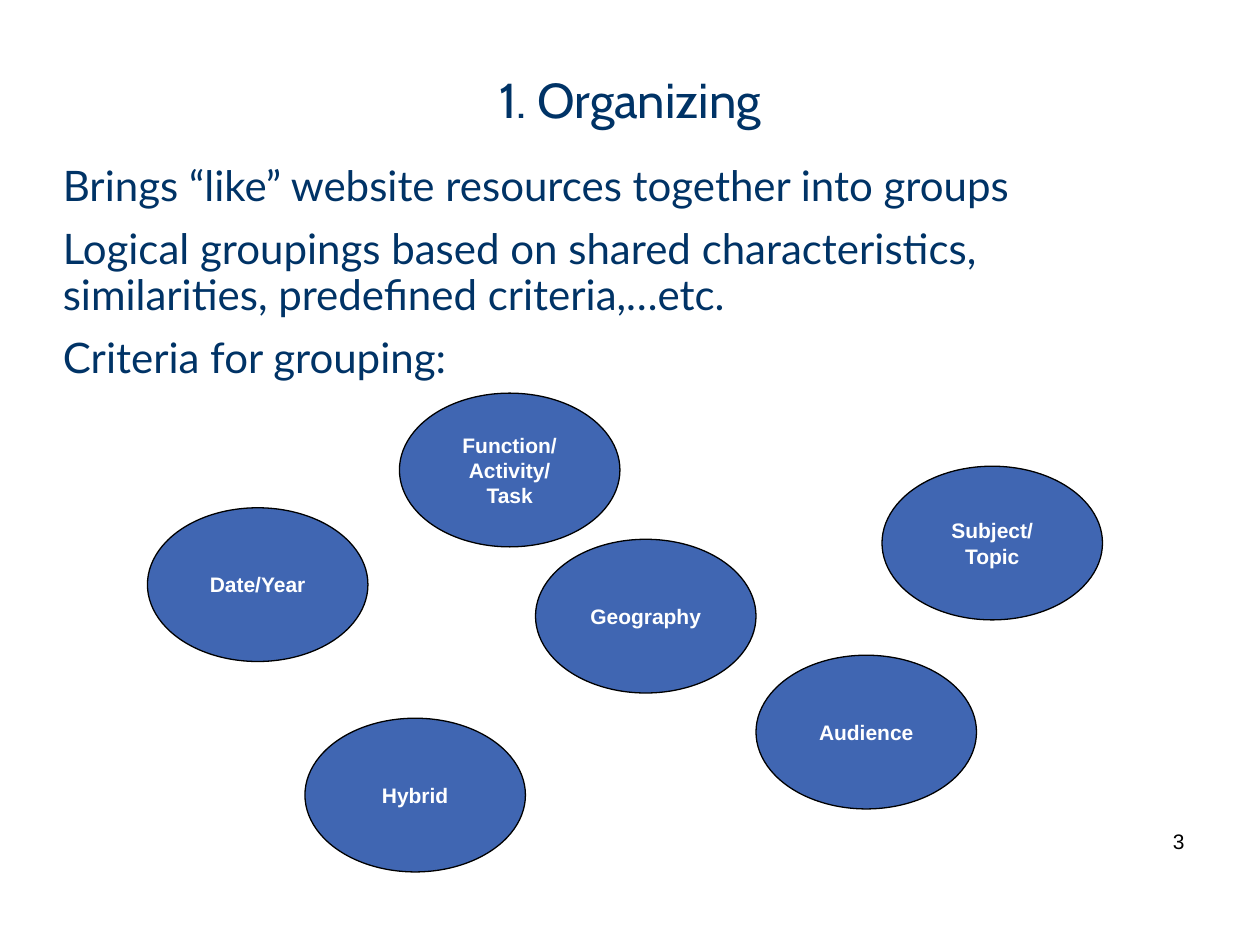
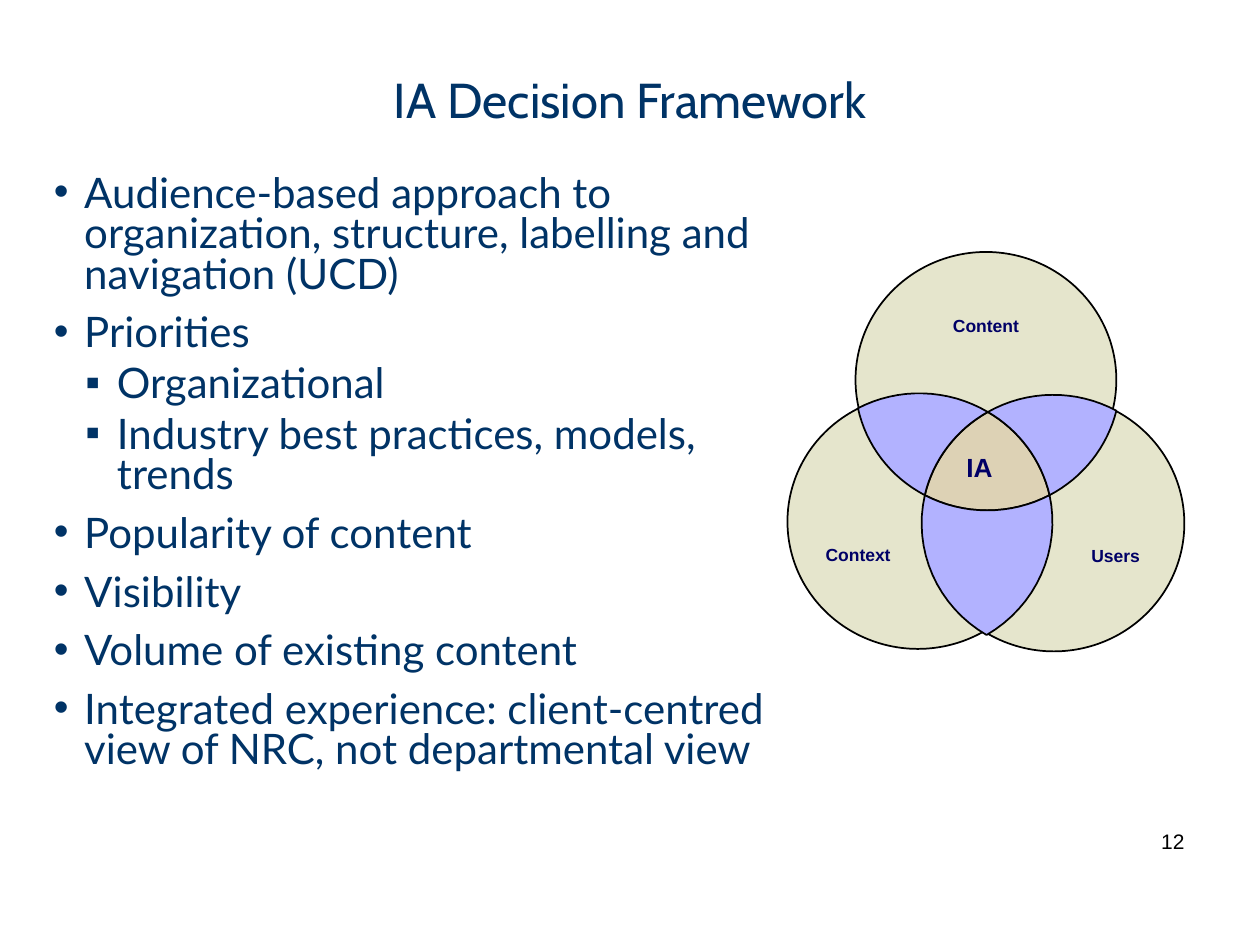
import math
from dataclasses import dataclass

import lxml.etree
import pptx
import pptx.dml.color
import pptx.enum.shapes
import pptx.enum.text
import pptx.oxml.ns
import pptx.util

Inches = pptx.util.Inches
Pt = pptx.util.Pt
ALIGN = pptx.enum.text.PP_ALIGN
ANCHOR = pptx.enum.text.MSO_ANCHOR
OVAL = pptx.enum.shapes.MSO_SHAPE.OVAL


@dataclass(frozen=True)
class Style:
    font: str
    size: float
    color: str
    bold: bool = False


class Theme:
    title = Style("Cabin", 28, "003366")
    body = Style("Lato", 24, "003366")
    number = Style("Arial", 12, "000000")
    criterion = Style("Arial", 12, "FFFFFF", True)
    circle = Style("Arial", 10, "000066", True)
    centre = Style("Arial", 15, "000066", True)
    line = "000000"
    criterion_fill = "4066B2"
    circle_fill = "E5E5CC"
    overlap_fill = "B2B2FF"
    centre_fill = "DDD2B5"


TITLE_BOX = (0.5, 0.5, 9, 0.59)
NUMBER_BOX = (7.17, 6.53, 2.33, 0.4)


def rgb(color):
    return pptx.dml.color.RGBColor.from_string(color)


def add_run(p, text, style):
    """Add text to a paragraph, with a line break at each newline."""
    for i, line in enumerate(text.split("\n")):
        if i:
            p.add_line_break()
        r = p.add_run()
        r.text = line
        r.font.name = style.font
        r.font.size = Pt(style.size)
        r.font.bold = style.bold
        r.font.color.rgb = rgb(style.color)


def set_insets(tf, left, top, right, bottom):
    tf.margin_left, tf.margin_top = Inches(left), Inches(top)
    tf.margin_right, tf.margin_bottom = Inches(right), Inches(bottom)


def add_text_box(slide, box, insets=(0.1, 0.05, 0.1, 0.05)):
    tf = slide.shapes.add_textbox(*map(Inches, box)).text_frame
    tf.word_wrap = True
    set_insets(tf, *insets)
    return tf


def paint(sp, fill, width):
    sp.shadow.inherit = False
    sp.fill.solid()
    sp.fill.fore_color.rgb = rgb(fill)
    sp.line.color.rgb = rgb(Theme.line)
    sp.line.width = Pt(width)


def add_oval(slide, box, text, style, align, fill, width):
    sp = slide.shapes.add_shape(OVAL, *map(Inches, box))
    paint(sp, fill, width)
    p = sp.text_frame.paragraphs[0]
    p.alignment = align
    add_run(p, text, style)
    return sp.text_frame


def set_bullet(p, char, margin, indent):
    pPr = p._p.get_or_add_pPr()
    pPr.set("marL", str(Inches(margin)))
    pPr.set("indent", str(Inches(indent)))
    qn = pptx.oxml.ns.qn
    lxml.etree.SubElement(pPr, qn("a:buFont")).set("typeface", "Arial")
    lxml.etree.SubElement(pPr, qn("a:buChar")).set("char", char)


def add_body(slide, box, items, spacing, bulleted=False):
    """Write (level, text) items as paragraphs."""
    tf = add_text_box(slide, box)
    for i, (level, text) in enumerate(items):
        p = tf.add_paragraph() if i else tf.paragraphs[0]
        p.level = level
        p.line_spacing = spacing
        if i:
            p.space_before = Pt(6 if level else 10.5)
        if bulleted:
            set_bullet(p, *(("▪", 0.5, -0.25) if level else ("•", 0.24, -0.24)))
        add_run(p, text, Theme.body)


def add_titled_slide(prs, title, number):
    slide = prs.slides.add_slide(prs.slide_layouts[6])
    for box, text, style, align in (
        (TITLE_BOX, title, Theme.title, ALIGN.CENTER),
        (NUMBER_BOX, str(number), Theme.number, ALIGN.RIGHT),
    ):
        p = add_text_box(slide, box).paragraphs[0]
        p.alignment = align
        add_run(p, text, style)
    return slide


def add_criteria(slide, left, top):
    """Scatter the grouping criteria from the given corner."""
    criteria = (
        ("Audience", 4.83, 2.08),
        ("Geography", 3.08, 1.16),
        ("Date/Year", 0, 0.91),
        ("Hybrid", 1.25, 2.58),
        ("Subject/\nTopic", 5.83, 0.58),
        ("Function/\nActivity/\nTask", 2, 0),
    )
    for text, x, y in criteria:
        tf = add_oval(slide, (left + x, top + y, 1.75, 1.22), text, Theme.criterion,
                      ALIGN.CENTER, Theme.criterion_fill, 0.75)
        tf.word_wrap = False
        tf.vertical_anchor = ANCHOR.MIDDLE
        set_insets(tf, 0, 0, 0, 0)


def arc(circle, start, end, steps=16):
    """Points along the shorter arc of a circle's box, meeting both ends exactly."""
    x, y, w, h = circle
    rx, ry = w / 2, h / 2
    cx, cy = x + rx, y + ry
    (a0, d0), (a1, d1) = (
        (math.atan2((py - cy) / ry, (px - cx) / rx), math.hypot((px - cx) / rx, (py - cy) / ry))
        for px, py in (start, end)
    )
    turn = (a1 - a0 + math.pi) % (2 * math.pi) - math.pi
    points = []
    for i in range(1, steps + 1):
        t = i / steps
        a, d = a0 + turn * t, d0 + (d1 - d0) * t
        points.append((cx + rx * d * math.cos(a), cy + ry * d * math.sin(a)))
    return points


def add_overlap(slide, left, top, sides, fill):
    """Draw a region bounded by (circle, start corner) sides in order."""
    corners = [corner for _, corner in sides]
    points = [corners[0]]
    for (circle, start), end in zip(sides, corners[1:] + corners[:1]):
        points += arc(circle, start, end)
    emu = [(Inches(left + x), Inches(top + y)) for x, y in points]
    fb = slide.shapes.build_freeform(*emu[0], scale=1.0)
    fb.add_line_segments(emu[1:], close=True)
    paint(fb.convert_to_shape(), fill, 1)


def add_venn(slide, left, top):
    users = (1.08, 1.14, 2.07, 2.03)
    content = (0.54, 0, 2.07, 2.03)
    context = (0, 1.13, 2.07, 2.02)
    for text, (x, y, w, h), align, insets in (
        ("Users", users, ALIGN.RIGHT, (0.05, 0.89, 0.05, 0)),
        ("Content", content, ALIGN.CENTER, (0.05, 0.2, 0.05, 0)),
        ("Context", context, ALIGN.LEFT, (0, 0.89, 0.05, 0)),
    ):
        tf = add_oval(slide, (left + x, top + y, w, h), text, Theme.circle,
                      align, Theme.circle_fill, 1)
        tf.vertical_anchor = ANCHOR.TOP
        set_insets(tf, *insets)

    outer_left, outer_right, outer_bottom = (0.56, 1.24), (2.61, 1.26), (1.58, 3.04)
    inner_left, inner_right, inner_top = (1.09, 1.93), (2.08, 1.93), (1.59, 1.27)
    for fill, sides in (
        (Theme.centre_fill,
         [(users, inner_top), (content, inner_left), (context, inner_right)]),
        (Theme.overlap_fill,
         [(context, outer_left), (users, inner_top), (content, inner_left)]),
        (Theme.overlap_fill,
         [(users, outer_right), (context, inner_top), (content, inner_right)]),
        (Theme.overlap_fill,
         [(content, inner_left), (context, inner_right), (users, outer_bottom)]),
    ):
        add_overlap(slide, left, top, sides, fill)

    tf = add_text_box(slide, (left + 1.42, top + 1.58, 0.38, 0.31), (0, 0, 0, 0))
    add_run(tf.paragraphs[0], "IA", Theme.centre)


def build_organizing(prs):
    slide = add_titled_slide(prs, "1. Organizing", 3)
    add_body(slide, (0.4, 1.26, 9.01, 1.65), (
        (0, "Brings “like” website resources together into groups"),
        (0, "Logical groupings based on shared characteristics, "
            "similarities, predefined criteria,…etc."),
        (0, "Criteria for grouping:"),
    ), 0.9)
    add_criteria(slide, 1.17, 3.12)


def build_framework(prs):
    slide = add_titled_slide(prs, "IA Decision Framework", 12)
    add_body(slide, (0.33, 1.35, 5.85, 5.07), (
        (0, "Audience-based approach to organization, structure, "
            "labelling and navigation (UCD)"),
        (0, "Priorities"),
        (1, "Organizational"),
        (1, "Industry best practices, models, trends"),
        (0, "Popularity of content"),
        (0, "Visibility"),
        (0, "Volume of existing content"),
        (0, "Integrated experience: client-centred view of NRC, not departmental view"),
    ), 0.8, bulleted=True)
    add_venn(slide, 6.25, 2)


def main():
    prs = pptx.Presentation()
    prs.slide_width, prs.slide_height = Inches(10), Inches(7.5)
    build_organizing(prs)
    build_framework(prs)
    prs.save("out.pptx")


if __name__ == "__main__":
    main()
